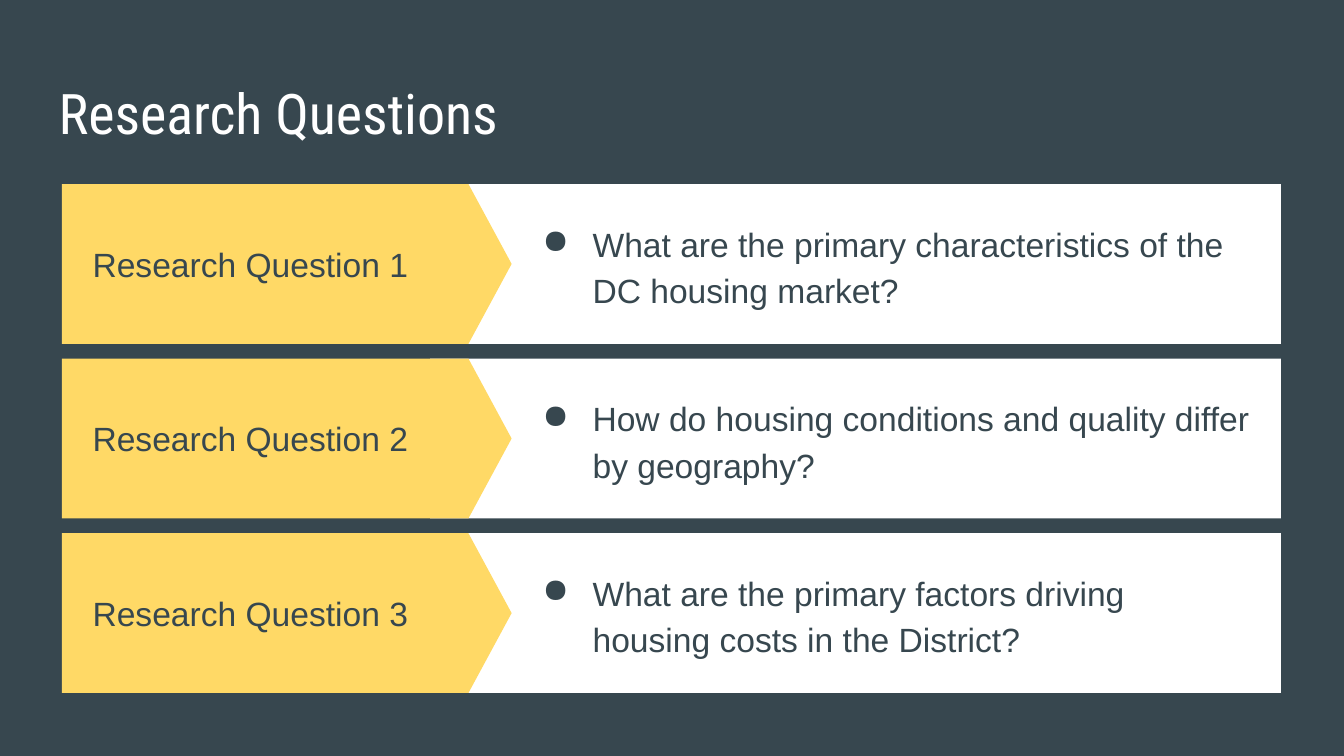
"""Build the research questions slide."""

from dataclasses import dataclass

from lxml.etree import SubElement
from pptx import Presentation
from pptx.dml.color import RGBColor
from pptx.enum.shapes import MSO_SHAPE as Preset
from pptx.enum.text import MSO_ANCHOR as Anchor
from pptx.oxml.ns import qn
from pptx.shapes.autoshape import Shape
from pptx.shapes.shapetree import GroupShapes
from pptx.slide import Slide
from pptx.text.text import _Paragraph as Paragraph
from pptx.util import Cm, Pt


@dataclass(frozen=True)
class Theme:
    background: str = "37474F"
    panel: str = "FFFFFF"
    accent: str = "FFD966"
    text: str = "37474F"
    title: str = "FFFFFF"
    title_font: str = "Roboto Condensed"
    body_font: str = "Arial"
    title_size: int = 30
    body_size: int = 18


@dataclass(frozen=True)
class Box:
    left: float
    top: float
    width: float
    height: float

    def lengths(self) -> tuple[Cm, Cm, Cm, Cm]:
        return Cm(self.left), Cm(self.top), Cm(self.width), Cm(self.height)


@dataclass(frozen=True)
class Question:
    label: str
    wording: str


THEME = Theme()
FIRST_ROW_TOP = 3.48
ROW_HEIGHT = 3.02
ROW_PITCH = 3.3
QUESTIONS = (
    Question("Research Question 1", "What are the primary characteristics of the DC housing market?"),
    Question("Research Question 2", "How do housing conditions and quality differ by geography?"),
    Question("Research Question 3", "What are the primary factors driving housing costs in the District?"),
)


def add_bullet(paragraph: Paragraph, color: str) -> None:
    paragraph.line_spacing = 1.15
    properties = paragraph._p.get_or_add_pPr()
    properties.set("marL", str(Cm(1.27)))
    properties.set("indent", str(Cm(-0.95)))
    bullet_color = SubElement(properties, qn("a:buClr"))
    SubElement(bullet_color, qn("a:srgbClr"), val=color)
    SubElement(properties, qn("a:buChar"), char="●")


def add_text(
    slide: Slide,
    box: Box,
    text: str,
    *,
    font: str = THEME.body_font,
    size: int = THEME.body_size,
    color: str = THEME.text,
    anchor: Anchor = Anchor.MIDDLE,
    bullet: bool = False,
) -> None:
    frame = slide.shapes.add_textbox(*box.lengths()).text_frame
    frame.word_wrap = True
    frame.vertical_anchor = anchor
    frame.margin_left = frame.margin_right = Cm(0.25)
    frame.margin_top = frame.margin_bottom = Cm(0.25)
    paragraph = frame.paragraphs[0]
    run = paragraph.add_run()
    run.text = text
    run.font.name = font
    run.font.size = Pt(size)
    run.font.color.rgb = RGBColor.from_string(color)
    if bullet:
        add_bullet(paragraph, color)


def add_panel(shapes: GroupShapes, preset: Preset, box: Box, color: str) -> Shape:
    shape = shapes.add_shape(preset, *box.lengths())
    shape.shadow.inherit = False
    shape.fill.solid()
    shape.fill.fore_color.rgb = RGBColor.from_string(color)
    shape.line.fill.background()
    return shape


def add_question(slide: Slide, question: Question, top: float) -> None:
    shapes = slide.shapes.add_group_shape().shapes
    add_panel(shapes, Preset.RECTANGLE, Box(8.13, top, 16.08, ROW_HEIGHT), THEME.panel)
    arrow = add_panel(shapes, Preset.PENTAGON, Box(1.17, top, 8.5, ROW_HEIGHT), THEME.accent)
    arrow.adjustments[0] = 0.27
    add_text(slide, Box(1.5, top, 6.73, ROW_HEIGHT), question.label)
    add_text(slide, Box(9.68, top, 14.2, ROW_HEIGHT), question.wording, bullet=True)


def main() -> None:
    presentation = Presentation()
    presentation.slide_width = Cm(25.4)
    presentation.slide_height = Cm(14.29)
    slide = presentation.slides.add_slide(presentation.slide_layouts[6])
    slide.background.fill.solid()
    slide.background.fill.fore_color.rgb = RGBColor.from_string(THEME.background)
    add_text(
        slide,
        Box(0.86, 1.24, 23.67, 1.6),
        "Research Questions",
        font=THEME.title_font,
        size=THEME.title_size,
        color=THEME.title,
        anchor=Anchor.TOP,
    )
    for index, question in enumerate(QUESTIONS):
        add_question(slide, question, FIRST_ROW_TOP + index * ROW_PITCH)
    presentation.save("out.pptx")


if __name__ == "__main__":
    main()
